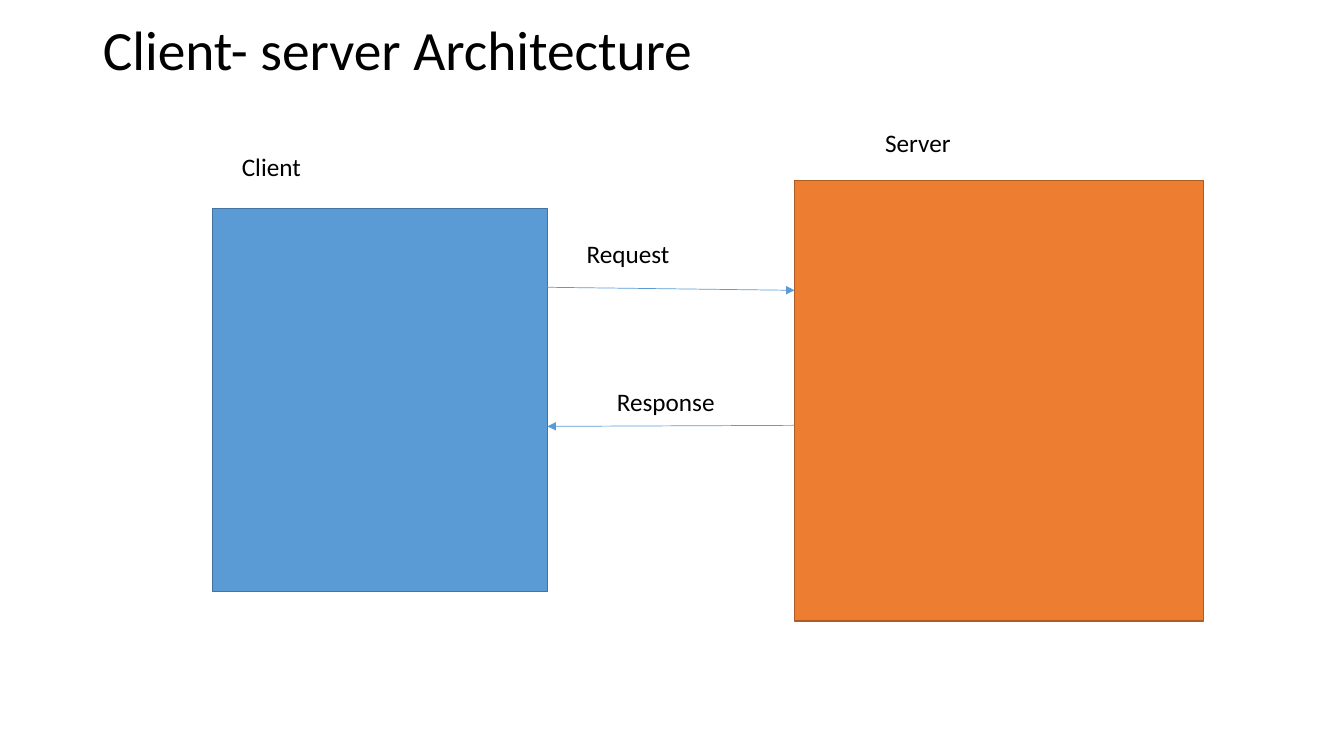
from dataclasses import dataclass

from lxml.etree import SubElement
from pptx import Presentation
from pptx.dml.color import RGBColor
from pptx.enum.shapes import MSO_CONNECTOR, MSO_SHAPE
from pptx.enum.text import MSO_ANCHOR, MSO_AUTO_SIZE, PP_ALIGN
from pptx.oxml.ns import qn
from pptx.util import Emu, Pt

PX = 9144  # EMU per px, 100 px to the inch


@dataclass(frozen=True)
class Theme:
    font: str = "Calibri"
    title_size: float = 39.6
    label_size: float = 18
    text: str = "000000"
    client: str = "5B9BD5"
    client_edge: str = "43739E"
    server: str = "ED7D31"
    server_edge: str = "AF5C24"
    arrow: str = "5B9BD5"


THEME = Theme()


def px(*lengths):
    return [Emu(n * PX) for n in lengths]


def write(tf, text, size=THEME.label_size, color=THEME.text, spacing=None,
          anchor=MSO_ANCHOR.TOP, fit=MSO_AUTO_SIZE.NONE):
    tf.word_wrap = True
    tf.auto_size = fit
    tf.vertical_anchor = anchor
    p = tf.paragraphs[0]
    p.alignment = PP_ALIGN.LEFT
    p.line_spacing = spacing
    r = p.add_run()
    r.text = text
    r.font.name = THEME.font
    r.font.size = Pt(size)
    r.font.color.rgb = RGBColor.from_string(color)


def set_title(slide, text, left, top, width, height):
    sp = slide.shapes.title
    sp.left, sp.top, sp.width, sp.height = px(left, top, width, height)
    write(sp.text_frame, text, size=THEME.title_size, spacing=0.9,
          anchor=MSO_ANCHOR.MIDDLE)


def add_box(slide, left, top, width, height, fill, edge):
    sp = slide.shapes.add_shape(MSO_SHAPE.RECTANGLE,
                                *px(left, top, width, height))
    sp.shadow.inherit = False
    sp.fill.solid()
    sp.fill.fore_color.rgb = RGBColor.from_string(fill)
    sp.line.color.rgb = RGBColor.from_string(edge)
    sp.line.width = Pt(1)


def add_label(slide, text, left, top, width, height=40):
    sp = slide.shapes.add_textbox(*px(left, top, width, height))
    write(sp.text_frame, text, fit=MSO_AUTO_SIZE.SHAPE_TO_FIT_TEXT)


def add_arrow(slide, x1, y1, x2, y2):
    cxn = slide.shapes.add_connector(MSO_CONNECTOR.STRAIGHT,
                                     *px(x1, y1, x2, y2))
    cxn.line.color.rgb = RGBColor.from_string(THEME.arrow)
    cxn.line.width = Pt(0.5)
    SubElement(cxn.line._get_or_add_ln(), qn("a:tailEnd"), type="triangle")
    SubElement(cxn._element.spPr, qn("a:effectLst"))


def main():
    prs = Presentation()
    prs.slide_width, prs.slide_height = px(1333, 750)
    slide = prs.slides.add_slide(prs.slide_layouts[5])
    set_title(slide, "Client- server Architecture", 92, 17, 1150, 70)

    # Client and server
    client_right, server_left = 543, 788
    add_box(slide, 211, 207, client_right - 211, 380,
            THEME.client, THEME.client_edge)
    add_box(slide, server_left, 179, 406, 437,
            THEME.server, THEME.server_edge)
    add_label(slide, "Client", 230, 145, 298)
    add_label(slide, "Server", 868, 121, 304)

    # Messages between them
    add_arrow(slide, client_right, 285, server_left, 288)
    add_arrow(slide, server_left, 422, client_right, 423)
    add_label(slide, "Request", 572, 232, 196)
    add_label(slide, "Response", 602, 378, 216)

    prs.save("out.pptx")


if __name__ == "__main__":
    main()
